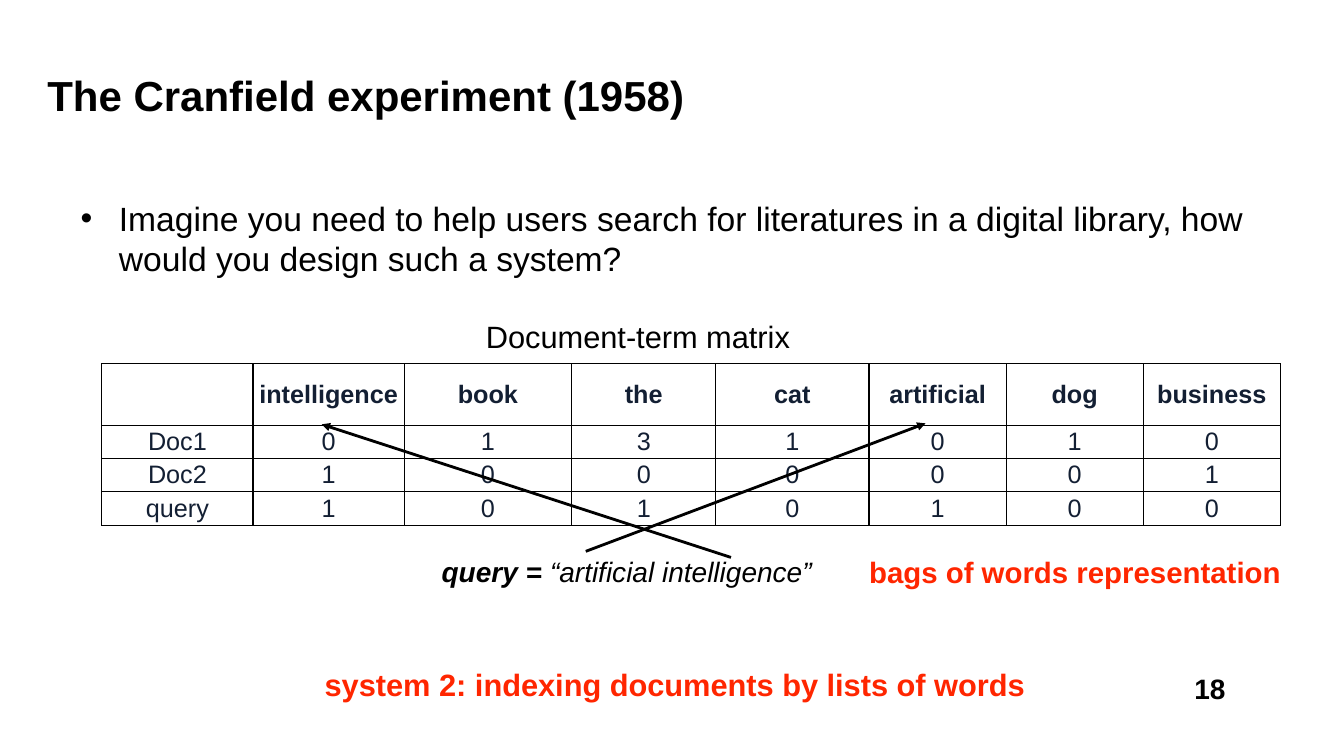
from lxml import etree
from pptx import Presentation
from pptx.dml.color import RGBColor as RGB
from pptx.enum.shapes import MSO_CONNECTOR as LINE
from pptx.enum.text import MSO_ANCHOR as ANCHOR, PP_ALIGN as ALIGN
from pptx.oxml.ns import qn
from pptx.util import Inches, Pt

INK = {"black": "000000", "red": "FF2600", "navy": "131F33", "white": "FFFFFF"}
FONT = "Arial"

TERMS = ["", "intelligence", "book", "the", "cat", "artificial", "dog", "business"]
COUNTS = {
    "Doc1": [0, 1, 3, 1, 0, 1, 0],
    "Doc2": [1, 0, 0, 0, 0, 0, 1],
    "query": [1, 0, 1, 0, 1, 0, 0],
}
WIDTHS = [1.5, 1.5, 1.66, 1.43, 1.52, 1.36, 1.36, 1.36]
HEIGHTS = [0.61] + [0.33] * len(COUNTS)


class Board:
    def __init__(self, deck):
        self.slide = deck.slides.add_slide(deck.slide_layouts[6])
        self.shapes = self.slide.shapes

    def style(self, run, size, ink="black", bold=False, italic=False):
        font = run.font
        font.name, font.size = FONT, Pt(size)
        font.bold, font.italic = bold, italic
        font.color.rgb = RGB.from_string(INK[ink])

    def text(self, box, words, size, ink="black", bold=False, wrap=True,
             align=ALIGN.LEFT, anchor=ANCHOR.TOP, inset=0.05):
        """Add a text box and return its paragraph."""
        frame = self.shapes.add_textbox(*map(Inches, box)).text_frame
        frame.word_wrap = wrap
        frame.vertical_anchor = anchor
        frame.margin_left = frame.margin_right = Inches(inset)
        frame.margin_top = frame.margin_bottom = Inches(inset)
        para = frame.paragraphs[0]
        para.text, para.alignment = words, align
        for run in para.runs:
            self.style(run, size, ink, bold)
        return para

    def bullet(self, para, indent):
        props = para._p.get_or_add_pPr()
        props.set("marL", str(Inches(indent)))
        props.set("indent", str(-Inches(indent)))
        etree.SubElement(props, qn("a:buFont"), typeface=FONT)
        etree.SubElement(props, qn("a:buChar"), char="•")

    def border(self, cell):
        props = cell._tc.get_or_add_tcPr()
        for place, side in enumerate("LRTB"):
            line = etree.Element(qn("a:ln" + side), w=str(Pt(1)))
            fill = etree.SubElement(line, qn("a:solidFill"))
            etree.SubElement(fill, qn("a:srgbClr"), val=INK["black"])
            props.insert(place, line)

    def table(self, left, top, rows, widths, heights):
        frame = self.shapes.add_table(
            len(rows), len(widths), Inches(left), Inches(top),
            Inches(sum(widths)), Inches(sum(heights)))
        grid = frame.table
        grid.horz_banding = False
        for col, width in zip(grid.columns, widths):
            col.width = Inches(width)
        for row, height in zip(grid.rows, heights):
            row.height = Inches(height)
        for r, row in enumerate(rows):
            for c, value in enumerate(row):
                self.cell(grid.cell(r, c), str(value), bold=r == 0)

    def cell(self, cell, words, bold):
        cell.margin_left = cell.margin_right = 0
        cell.margin_top = cell.margin_bottom = 0
        cell.vertical_anchor = ANCHOR.MIDDLE
        cell.fill.solid()
        cell.fill.fore_color.rgb = RGB.from_string(INK["white"])
        self.border(cell)
        para = cell.text_frame.paragraphs[0]
        para.text, para.alignment = words, ALIGN.CENTER
        for run in para.runs:
            self.style(run, 18, "navy", bold)

    def arrow(self, start, end):
        link = self.shapes.add_connector(
            LINE.STRAIGHT, *map(Inches, start + end))
        link.line.width = Pt(2)
        link.line.color.rgb = RGB.from_string(INK["black"])
        etree.SubElement(link.line._get_or_add_ln(), qn("a:tailEnd"),
                         type="triangle")
        etree.SubElement(link._element.spPr, qn("a:effectLst"))


def main():
    deck = Presentation()
    deck.slide_width, deck.slide_height = Inches(13.33), Inches(7.5)
    board = Board(deck)

    board.text((0.42, 0.58, 11.54, 0.72), "The Cranfield experiment (1958)",
               30, bold=True, anchor=ANCHOR.MIDDLE)
    board.text((11.8, 6.62, 0.4, 0.39), "18", 20, bold=True, wrap=False,
               align=ALIGN.CENTER, inset=0.04)

    task = board.text(
        (0.75, 1.91, 12.23, 0.95),
        "Imagine you need to help users search for literatures in a digital "
        "library, how would you design such a system?", 24)
    task.space_before = Pt(5)
    board.bullet(task, 0.38)

    system = board.text((3.17, 6.37, 7.08, 0.45),
                        "system 2: indexing documents by lists of words",
                        22, "red", bold=True, wrap=False)
    matrix = board.text((4.77, 2.91, 3.14, 0.45), "Document-term matrix",
                        22, wrap=False)
    for para in (system, matrix):
        para.line_spacing = Pt(40)

    query = board.text((4.33, 5.45, 4.68, 0.41), "", 20)
    query.space_before = Pt(5)
    for words, bold in (("query = ", True), ("“artificial intelligence”", False)):
        run = query.add_run()
        run.text = words
        board.style(run, 20, bold=bold, italic=True)

    board.text((8.57, 5.45, 4.2, 0.42), "bags of words representation",
               21, "red", bold=True, wrap=False)

    rows = [TERMS] + [[name] + counts for name, counts in COUNTS.items()]
    board.table(1.01, 3.61, rows, WIDTHS, HEIGHTS)

    board.arrow((7.25, 5.53), (3.19, 4.21))
    board.arrow((5.81, 5.47), (9.18, 4.2))

    deck.save("out.pptx")


if __name__ == "__main__":
    main()
